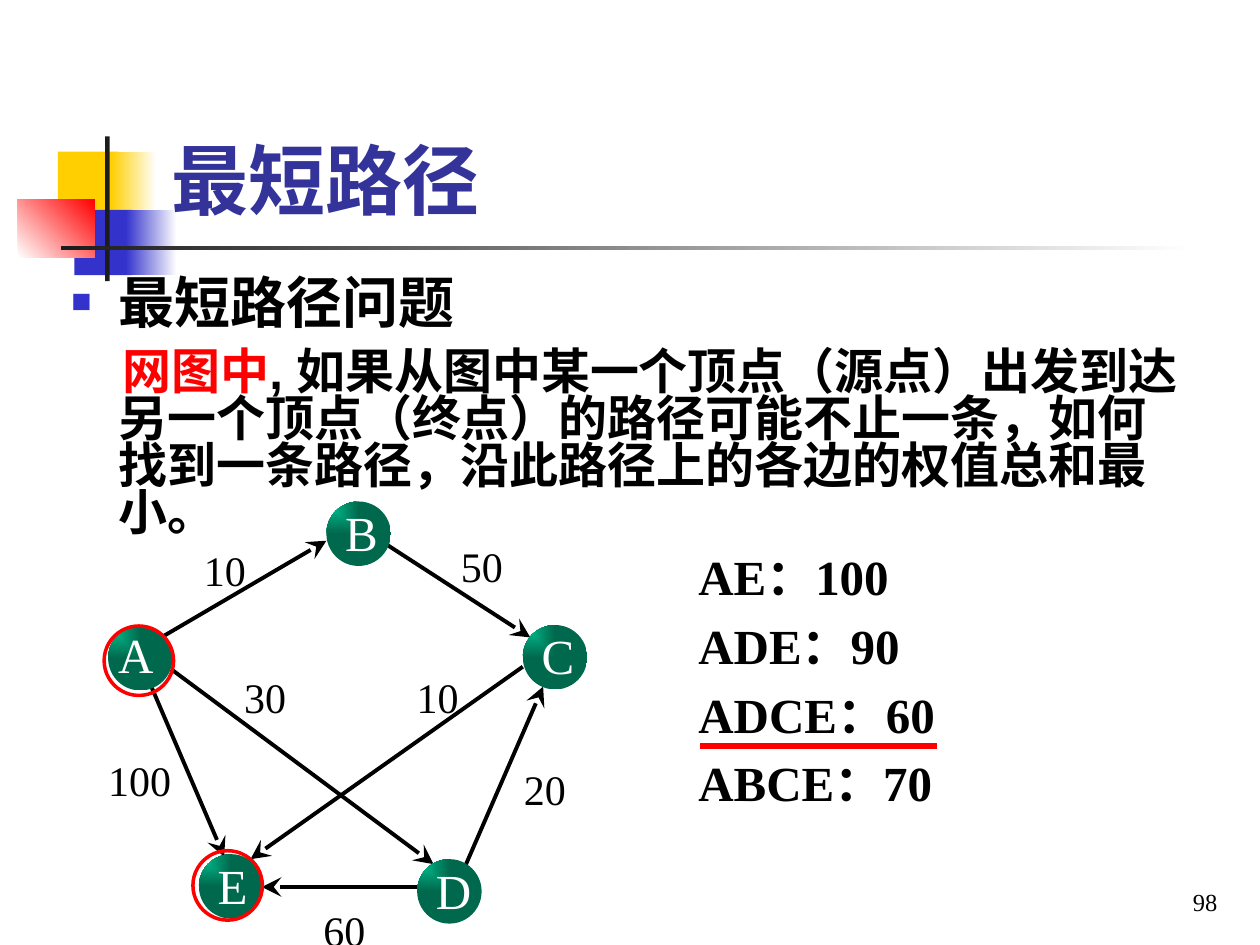
from dataclasses import dataclass

from lxml.etree import SubElement
from pptx import Presentation
from pptx.dml.color import RGBColor
from pptx.enum.shapes import MSO_CONNECTOR, MSO_SHAPE
from pptx.enum.text import MSO_ANCHOR, PP_ALIGN
from pptx.oxml.ns import qn
from pptx.util import Cm, Pt


@dataclass(frozen=True)
class Theme:
    font: str = "Times New Roman"
    body_font: str = "Arial"
    black: str = "000000"
    white: str = "FFFFFF"
    red: str = "FF0000"
    yellow: str = "FFCF01"
    blue: str = "3333CC"
    rule: str = "1C1C1C"
    title: str = "333399"
    node_light: str = "00C896"
    node_dark: str = "00694D"
    title_size: int = 44
    heading_size: int = 32
    text_size: int = 28
    weight_size: int = 24
    number_size: int = 14


THEME = Theme()


def style(run, size, color, bold=False, font=THEME.font):
    run.font.size = Pt(size)
    run.font.bold = bold
    run.font.name = font
    run.font.color.rgb = RGBColor.from_string(color)


def add_text(slide, box, lines, size, color, bold=False, align=None,
             anchor=MSO_ANCHOR.TOP, wrap=True, gap=0):
    frame = slide.shapes.add_textbox(*map(Cm, box)).text_frame
    frame.word_wrap = wrap
    frame.vertical_anchor = anchor
    frame.text = lines
    for position, paragraph in enumerate(frame.paragraphs):
        paragraph.alignment = align
        if position and gap:
            paragraph.space_before = Pt(gap)
        for run in paragraph.runs:
            style(run, size, color, bold)
    return frame


def add_filled(slide, kind, box, start, end=None, angle=0):
    shape = slide.shapes.add_shape(kind, *map(Cm, box))
    shape.shadow.inherit = False
    shape.line.fill.background()
    if end is None:
        shape.fill.solid()
        shape.fill.fore_color.rgb = RGBColor.from_string(start)
    else:
        shape.fill.gradient()
        shape.fill.gradient_angle = angle
        for stop, color in zip(shape.fill.gradient_stops, (start, end)):
            stop.color.rgb = RGBColor.from_string(color)
    return shape


def add_line(slide, start, end, color, width, arrow=False):
    line = slide.shapes.add_connector(
        MSO_CONNECTOR.STRAIGHT, *map(Cm, start + end))
    line.line.color.rgb = RGBColor.from_string(color)
    line.line.width = Pt(width)
    properties = line._element.spPr
    if arrow:
        SubElement(properties.find(qn("a:ln")), qn("a:tailEnd"),
                   type="stealth", w="lg", len="lg")
    SubElement(properties, qn("a:effectLst"))


def add_ornament(slide, left, top):
    """Coloured squares and the two crossing rules beside the title."""
    parts = [
        ((0.81, 0.31, 1.22, 1.32), THEME.yellow, None, 0),
        ((1.88, 0.31, 0.91, 1.32), THEME.yellow, THEME.white, 0),
        ((1.14, 1.48, 1.17, 1.32), THEME.blue, None, 0),
        ((2.18, 1.48, 1.02, 1.32), THEME.blue, THEME.white, 0),
        ((0, 1.27, 1.55, 1.17), THEME.white, THEME.red, 45),
        ((1.76, 0, 0.09, 2.92), THEME.rule, None, 0),
        ((0.87, 2.2, 22.86, 0.09), THEME.rule, THEME.white, 0),
    ]
    for (x, y, width, height), start, end, angle in parts:
        add_filled(slide, MSO_SHAPE.RECTANGLE,
                   (left + x, top + y, width, height), start, end, angle)


def add_problem(slide, box):
    """Bulleted heading with the explanation under it."""
    frame = slide.shapes.add_textbox(*map(Cm, box)).text_frame
    frame.word_wrap = True
    heading, explanation = frame.paragraphs[0], frame.add_paragraph()
    for paragraph, indent in ((heading, -0.95), (explanation, 0.08)):
        paragraph.line_spacing = 0.8
        properties = paragraph._p.get_or_add_pPr()
        properties.set("marL", str(Cm(0.95)))
        properties.set("indent", str(Cm(indent)))

    bullet = heading._p.get_or_add_pPr()
    SubElement(SubElement(bullet, qn("a:buClr")), qn("a:srgbClr"), val=THEME.blue)
    SubElement(bullet, qn("a:buSzPct"), val="60000")
    SubElement(bullet, qn("a:buFont"), typeface=THEME.body_font)
    SubElement(bullet, qn("a:buChar"), char="■")

    explanation.space_before = Pt(9.5)
    pieces = [
        (heading, "最短路径问题", THEME.heading_size, THEME.black),
        (explanation, "网图中", THEME.text_size, THEME.red),
        (explanation, ", 如果从图中某一个顶点（源点）出发到达另一个顶点（终点）的路径"
         "可能不止一条，如何找到一条路径，沿此路径上的各边的权值总和最小。",
         THEME.text_size, THEME.black),
    ]
    for paragraph, words, size, color in pieces:
        run = paragraph.add_run()
        run.text = words
        style(run, size, color, bold=True, font=THEME.body_font)


def add_node(slide, left, top, name, shift):
    ball = add_filled(slide, MSO_SHAPE.OVAL, (left, top, 1.3, 1.3),
                      THEME.node_light, THEME.node_dark)
    gradient = ball._element.spPr.find(qn("a:gradFill"))
    gradient.remove(gradient.find(qn("a:lin")))
    shade = SubElement(gradient, qn("a:path"), path="rect")
    SubElement(shade, qn("a:fillToRect"), r="100000", b="100000")
    label = add_text(slide, (left + shift[0], top + shift[1], 1.2, 1.55), name,
                     THEME.text_size, THEME.white, wrap=False)
    label.margin_left, label.margin_top = Cm(0.2), Cm(0.15)
    label.margin_right = label.margin_bottom = 0


def add_graph(slide, left, top):
    """Weighted directed graph, with source and target ringed."""
    edges = [
        ((1.15, 2.85), (4.48, 0.9), "10", (1.76, 0.85)),    # A to B
        ((5.65, 0.95), (8.59, 2.85), "50", (6.94, 0.77)),   # B to C
        ((1.35, 3.49), (6.64, 7.42), "30", (2.57, 3.41)),   # A to D
        ((8.44, 3.44), (2.95, 7.32), "10", (6.05, 3.41)),   # C to E
        ((0.95, 3.84), (2.42, 7.27), "100", (-0.17, 5.09)),  # A to E
        ((7.27, 7.48), (8.85, 3.84), "20", (8.21, 5.27)),   # D to C
        ((6.33, 7.88), (3.18, 7.88), "60", (4.17, 8.11)),   # D to E
    ]
    nodes = {"B": (4.48, 0.11), "A": (0.08, 2.62), "E": (1.91, 7.22),
             "D": (6.31, 7.32), "C": (8.44, 2.6)}
    rings = [(0, 2.62), (1.79, 7.15)]

    def place(point):
        return left + point[0], top + point[1]

    for start, end, weight, spot in edges:
        add_line(slide, place(start), place(end), THEME.black, 2.25, arrow=True)
        # Wide enough for three digits
        add_text(slide, place(spot) + (2, 1.3), weight,
                 THEME.weight_size, THEME.black)
    for name, spot in nodes.items():
        shift = (0, -0.18) if name == "A" else (0.18, -0.13)
        add_node(slide, *place(spot), name, shift)
    for spot in rings:
        ring = slide.shapes.add_shape(
            MSO_SHAPE.OVAL, *map(Cm, place(spot) + (1.4, 1.4)))
        ring.shadow.inherit = False
        ring.fill.background()
        ring.line.color.rgb = RGBColor.from_string(THEME.red)
        ring.line.width = Pt(2)


def add_path_lengths(slide, left, top):
    """Length of each path from A to E, the shortest underlined."""
    add_text(slide, (left, top, 10.41, 5.77),
             "AE：100\nADE：90\nADCE：60\nABCE：70",
             THEME.text_size, THEME.black, bold=True, gap=5.6)
    add_line(slide, (left + 0.28, top + 4.14), (left + 5.05, top + 4.14),
             THEME.red, 3)


def main():
    deck = Presentation()
    deck.slide_width, deck.slide_height = Cm(25.4), Cm(19.05)
    slide = deck.slides.add_slide(deck.slide_layouts[6])

    add_ornament(slide, 0.36, 2.75)
    add_text(slide, (3.2, 2.31, 21.64, 2.34), "最短路径", THEME.title_size,
             THEME.title, bold=True, anchor=MSO_ANCHOR.BOTTOM)
    add_problem(slide, (1.19, 5.54, 23.01, 12.47))
    add_graph(slide, 2.1, 10)
    add_path_lengths(slide, 13.83, 10.9)
    # Slide number
    add_text(slide, (19.51, 17.32, 5.28, 1.27), "98", THEME.number_size,
             THEME.black, align=PP_ALIGN.RIGHT, anchor=MSO_ANCHOR.BOTTOM)
    deck.save("out.pptx")


if __name__ == "__main__":
    main()
